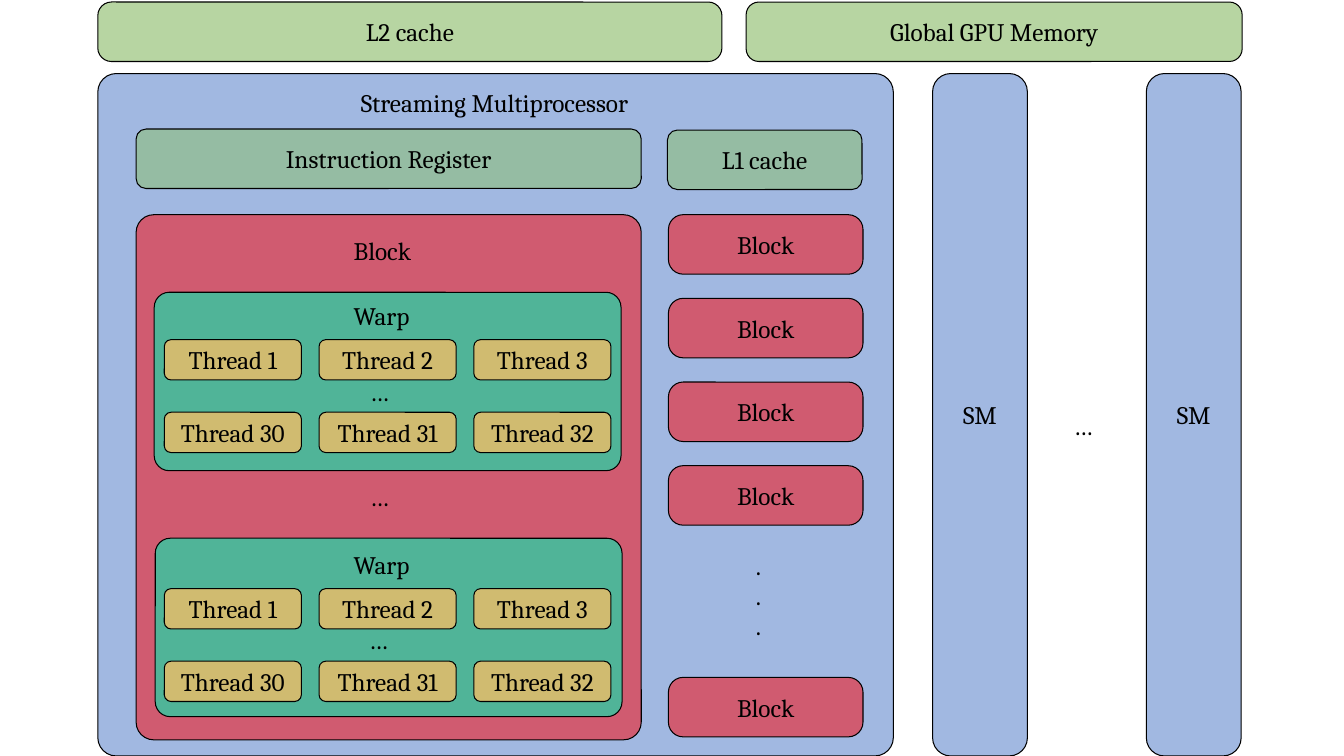
from lxml import etree
from pptx import Presentation, util as u
from pptx.dml.color import RGBColor
from pptx.enum import shapes, text
from pptx.oxml import ns

BLACK = RGBColor(0x00, 0x00, 0x00)
BLUE = RGBColor(0x44, 0x72, 0xC4)
LIME = RGBColor(0x70, 0xAD, 0x47)
GREEN = RGBColor(0x8B, 0xC1, 0x67)
RED = RGBColor(0xFF, 0x00, 0x00)
TEAL = RGBColor(0x50, 0xB4, 0x98)
GOLD = RGBColor(0xD0, 0xBB, 0x70)

deck = Presentation()
deck.slide_width, deck.slide_height = u.Inches(13.33), u.Inches(7.5)
slide = deck.slides.add_slide(deck.slide_layouts[6])


def write(frame, words, align=text.PP_ALIGN.LEFT, anchor=text.MSO_ANCHOR.TOP):
    """Fill a text frame, one paragraph per line of words."""
    frame.word_wrap = True
    frame.vertical_anchor = anchor
    frame.text = words
    for para in frame.paragraphs:
        para.alignment = align
        for run in para.runs:
            run.font.name, run.font.size = "Cambria", u.Pt(18)
            run.font.color.rgb = BLACK


def box(x, y, w, h, color, words="", round=0.167, clear=True):
    """Draw an outlined rounded box, half transparent if clear."""
    shape = slide.shapes.add_shape(shapes.MSO_SHAPE.ROUNDED_RECTANGLE,
                                   *map(u.Inches, (x, y, w, h)))
    shape.shadow.inherit = False
    shape.adjustments[0] = round
    shape.fill.solid()
    shape.fill.fore_color.rgb = color
    if clear:
        tone = shape.fill._xPr.find(".//" + ns.qn("a:srgbClr"))
        etree.SubElement(tone, ns.qn("a:alpha"), val="50000")
    shape.line.color.rgb, shape.line.width = BLACK, u.Pt(0.75)
    if words:
        write(shape.text_frame, words, align=text.PP_ALIGN.CENTER,
              anchor=text.MSO_ANCHOR.MIDDLE)


# Memory on top, multiprocessors below
BAR = 0.59
box(0.97, 0.02, 6.19, BAR, LIME, "L2 cache", round=0.23)
box(7.4, 0.02, 4.92, BAR, LIME, "Global GPU Memory", round=0.215)
box(0.97, 0.73, 7.89, 6.77, BLUE, round=0.027)
for x in (9.25, 11.37):
    box(x, 0.73, 0.94, 6.77, BLUE, "SM", round=0.191)

# Inside the streaming multiprocessor
box(1.35, 1.28, 5.01, BAR, GREEN, "Instruction Register")
box(6.62, 1.29, 1.93, BAR, GREEN, "L1 cache")
for y in (2.13, 2.96, 3.79, 4.62, 6.72):
    box(6.63, y, 1.93, BAR, RED, "Block", round=0.248)
box(1.35, 2.13, 5.01, 5.21, RED, round=0.035)

# Two warps, each with two rows of threads
for x, y, top in ((1.53, 2.9, 3.37), (1.54, 5.34, 5.84)):
    box(x, y, 4.63, 1.77, TEAL, round=0.084, clear=False)
    for row, first in enumerate((1, 30)):
        for col in range(3):
            box(1.63 + 1.535 * col, top + 0.72 * row, 1.36, 0.4, GOLD,
                f"Thread {first + col}", clear=False)

labels = (
    ("Streaming Multiprocessor", 3.48, 0.82, 3.15, 0.4),
    ("Block", 3.41, 2.29, 0.9, 0.4),
    ("Warp", 3.41, 2.93, 0.9, 0.4),
    ("Warp", 3.41, 5.4, 0.9, 0.4),
    ("…", 3.57, 3.68, 0.35, 0.4),
    ("…", 3.56, 6.14, 0.35, 0.4),
    ("…", 3.57, 4.73, 0.35, 0.4),
    ("…", 10.55, 4.02, 0.41, 0.4),
    (".\n.\n.", 7.4, 5.41, 0.37, 1.01),
)
for words, *place in labels:
    label = slide.shapes.add_textbox(*map(u.Inches, place))
    write(label.text_frame, words)

deck.save("out.pptx")
